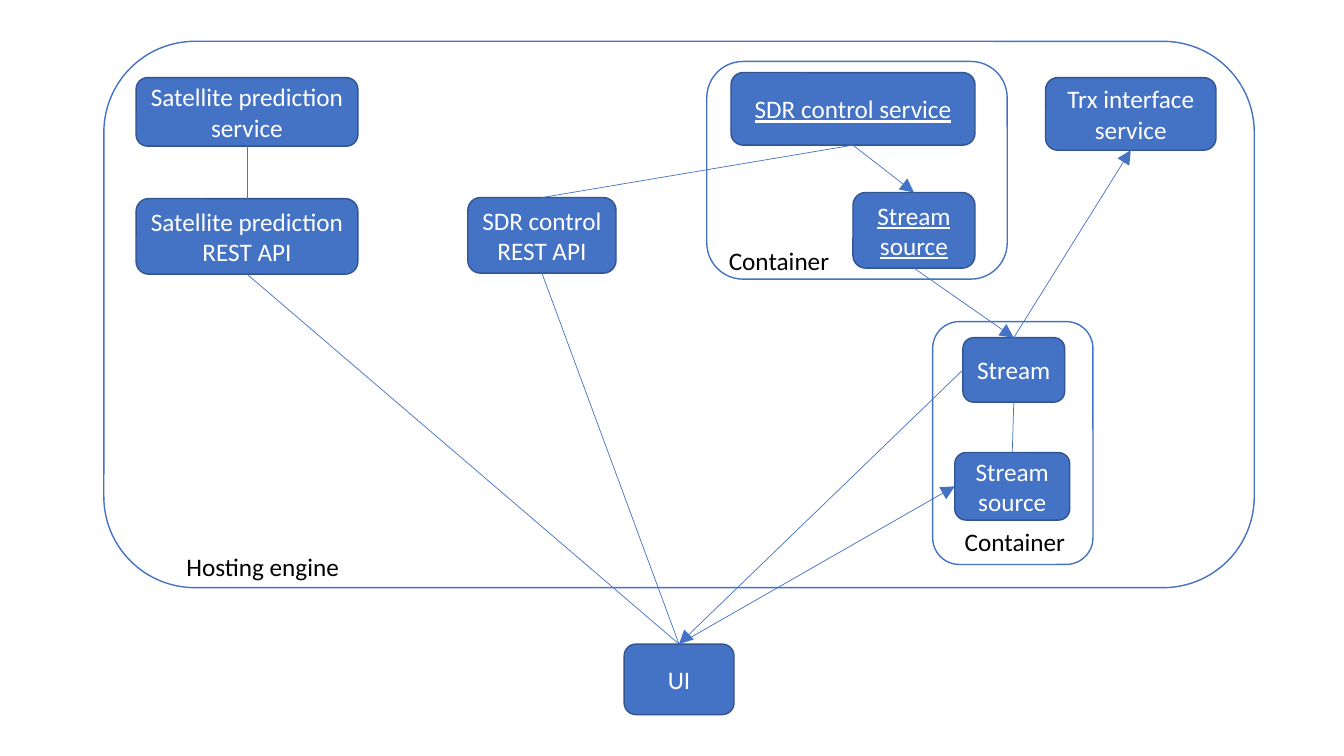
from pptx import Presentation
from pptx.dml.color import RGBColor
from pptx.enum.shapes import MSO_CONNECTOR, MSO_SHAPE
from pptx.enum.text import MSO_ANCHOR, PP_ALIGN
from pptx.oxml.ns import qn
from pptx.util import Pt
from lxml import etree

PX = 9144  # 100 px to the inch
BLUE = RGBColor(0x44, 0x72, 0xC4)
DARK_BLUE = RGBColor(0x32, 0x54, 0x91)
WHITE = RGBColor(0xFF, 0xFF, 0xFF)
BLACK = RGBColor(0, 0, 0)
FONT = "Calibri"
BLANK_LAYOUT = 6
ROUNDED = MSO_SHAPE.ROUNDED_RECTANGLE
STRAIGHT = MSO_CONNECTOR.STRAIGHT
MIDDLE = MSO_ANCHOR.MIDDLE
CENTER, LEFT = PP_ALIGN.CENTER, PP_ALIGN.LEFT
TOP_SIDE, LEFT_SIDE, BOTTOM_SIDE = 0, 1, 2


def emu(*lengths):
    return [length * PX for length in lengths]


def write_text(shape, text, color=BLACK, size=18, align=LEFT, underline=None):
    shape.text_frame.word_wrap = True
    paragraph = shape.text_frame.paragraphs[0]
    paragraph.alignment = align
    run = paragraph.add_run()
    run.text = text
    run.font.name = FONT
    run.font.size = Pt(size)
    run.font.color.rgb = color
    run.font.underline = underline


def add_rounded(shapes, bounds, fill, line):
    shape = shapes.add_shape(ROUNDED, *emu(*bounds))
    shape.shadow.inherit = False
    shape.fill.solid()
    shape.fill.fore_color.rgb = fill
    shape.line.color.rgb = line
    shape.line.width = Pt(1)
    return shape


def add_frame(shapes, *bounds):
    return add_rounded(shapes, bounds, WHITE, BLUE)


def add_box(shapes, text, *bounds, underline=None):
    box = add_rounded(shapes, bounds, BLUE, DARK_BLUE)
    box.text_frame.vertical_anchor = MIDDLE
    write_text(box, text, color=WHITE, align=CENTER, underline=underline)
    return box


def add_label(shapes, text, *bounds):
    write_text(shapes.add_textbox(*emu(*bounds)), text)


def join(shapes, start, start_side, end, end_side, arrow=False):
    """Connect the middles of two box sides, with an optional arrowhead at the end."""
    connector = shapes.add_connector(STRAIGHT, 0, 0, 0, 0)
    connector.begin_connect(start, start_side)
    connector.end_connect(end, end_side)
    connector.line.color.rgb = BLUE
    connector.line.width = Pt(0.5)
    if arrow:
        line = connector.line._get_or_add_ln()
        etree.SubElement(line, qn("a:tailEnd"), type="triangle", w="lg", len="lg")
    etree.SubElement(connector._element.spPr, qn("a:effectLst"))


def main():
    presentation = Presentation()
    presentation.slide_width, presentation.slide_height = emu(1333, 750)
    slide = presentation.slides.add_slide(presentation.slide_layouts[BLANK_LAYOUT])
    shapes = slide.shapes

    add_frame(shapes, 103, 41, 1141, 542)
    prediction = add_box(shapes, "Satellite prediction service", 135, 77, 220, 68)
    prediction_api = add_box(shapes, "Satellite prediction REST API", 135, 197, 220, 75)
    sdr_api = add_box(shapes, "SDR control REST API", 464, 196, 147, 75)
    trx = add_box(shapes, "Trx interface service", 1037, 77, 169, 72)
    ui = add_box(shapes, "UI", 619, 639, 109, 70)

    stream_group = shapes.add_group_shape().shapes
    add_frame(stream_group, 925, 319, 159, 241)
    stream = add_box(stream_group, "Stream", 955, 335, 101, 64)
    ui_source = add_box(stream_group, "Stream source", 947, 449, 114, 67)
    join(stream_group, stream, BOTTOM_SIDE, ui_source, TOP_SIDE)

    sdr_group = shapes.add_group_shape().shapes
    add_frame(sdr_group, 701, 61, 298, 216)
    sdr = add_box(sdr_group, "SDR control service", 725, 72, 242, 72, underline=True)
    sdr_source = add_box(sdr_group, "Stream source", 846, 191, 121, 75, underline=True)
    join(sdr_group, sdr, BOTTOM_SIDE, sdr_source, TOP_SIDE, arrow=True)

    join(shapes, prediction_api, TOP_SIDE, prediction, BOTTOM_SIDE)
    join(shapes, sdr_api, TOP_SIDE, sdr, BOTTOM_SIDE)
    for api in (prediction_api, sdr_api):
        join(shapes, ui, TOP_SIDE, api, BOTTOM_SIDE)
    join(shapes, stream, TOP_SIDE, trx, BOTTOM_SIDE, arrow=True)
    join(shapes, stream, LEFT_SIDE, ui, TOP_SIDE, arrow=True)
    join(shapes, ui, TOP_SIDE, ui_source, LEFT_SIDE, arrow=True)
    join(shapes, sdr_source, BOTTOM_SIDE, stream, TOP_SIDE, arrow=True)

    add_label(shapes, "Hosting engine", 175, 542, 181, 40)
    add_label(shapes, "Container", 713, 238, 181, 40)
    add_label(shapes, "Container", 947, 517, 136, 40)

    presentation.save("out.pptx")


if __name__ == "__main__":
    main()
